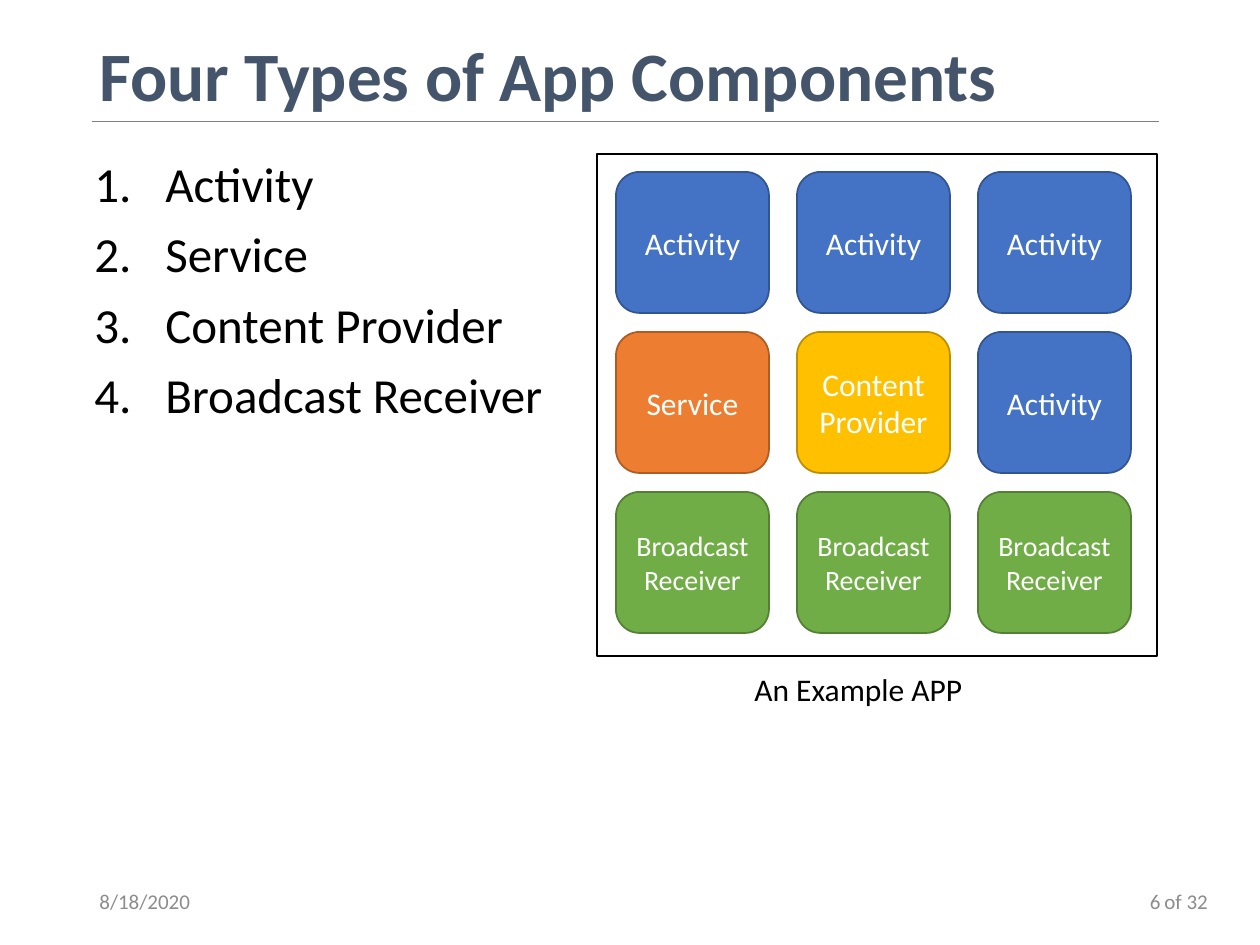
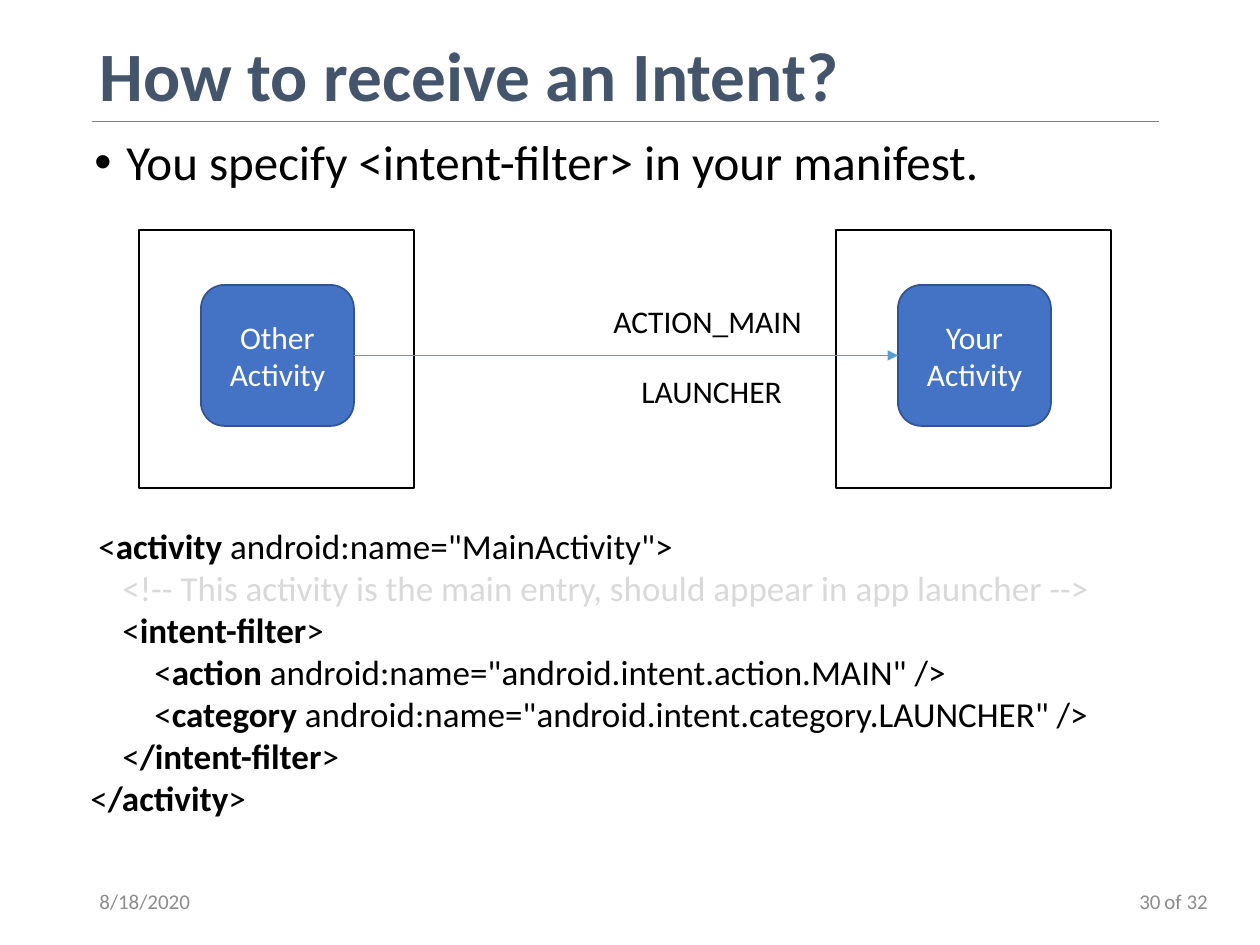
"""Build two lecture slides on app components and receiving an intent."""
from lxml import etree
from pptx import Presentation, util as u
from pptx.dml.color import RGBColor
from pptx.enum import shapes, text
from pptx.oxml.ns import qn

SCALE = u.Inches(1) / 126
FONT = "Calibri"
BLACK, WHITE, GREY, SLATE, PALE = "000000", "FFFFFF", "8C8C8C", "44546A", "D9D9D9"
RULE, ARROW = "808080", "5B9BD5"
DATE, TOTAL = "8/18/2020", "of 32"
BLUE = ("4472C4", "325491")
ORANGE = ("ED7D31", "AF5C24")
GOLD = ("FFC000", "BD8E00")
GREEN = ("70AD47", "538035")

COMPONENTS = ["Activity", "Service", "Content Provider", "Broadcast Receiver"]
ACTIVITY = (["Activity"], BLUE, 18)
SERVICE = (["Service"], ORANGE, 18)
PROVIDER = (["Content", "Provider"], GOLD, 18)
RECEIVER = (["Broadcast Receiver"], GREEN, 16)
APP_GRID = [
    [ACTIVITY, ACTIVITY, ACTIVITY],
    [SERVICE, PROVIDER, ACTIVITY],
    [RECEIVER, RECEIVER, RECEIVER],
]
TILE_SIZE = (153, 141)
GRID_LEFT, GRID_TOP, PITCH_X, PITCH_Y = 616, 172, 181, 160
APP_FRAME = (597, 154, 560, 502)

INTENT_APPS = [
    ((139, 230, 275, 258), (201, 285), ["Other", "Activity"]),
    ((836, 230, 275, 258), (898, 285), ["Your", "Activity"]),
]
INTENT_LABELS = [("ACTION_MAIN", (601, 296, 215, 50)), ("LAUNCHER", (629, 366, 168, 50))]
MANIFEST = [
    (8, [("<",), ("activity ", True), ('android:name="MainActivity">',)]),
    (32, [("<!-- This activity is the main entry, should appear in app launcher -->", False, PALE)]),
    (32, [("<",), ("intent-filter", True), (">",)]),
    (64, [("<",), ("action ", True), ('android:name="android.intent.action.MAIN" />',)]),
    (64, [("<",), ("category ", True), ('android:name="android.intent.category.LAUNCHER" />',)]),
    (32, [("<",), ("/intent-filter", True), (">",)]),
    (0, [("<",), ("/activity", True), (">",)]),
]


def px(length):
    return u.Emu(round(length * SCALE))


def rgb(colour):
    return RGBColor.from_string(colour)


def write(frame, paragraphs, size, colour=BLACK, bold=False, wrap=True, grow=False,
          anchor=text.MSO_ANCHOR.TOP, **paragraph_format):
    fit = text.MSO_AUTO_SIZE.SHAPE_TO_FIT_TEXT if grow else text.MSO_AUTO_SIZE.NONE
    for name, value in dict(word_wrap=wrap, auto_size=fit, vertical_anchor=anchor).items():
        setattr(frame, name, value)
    for index, runs in enumerate(paragraphs):
        paragraph = frame.paragraphs[0] if index == 0 else frame.add_paragraph()
        for name, value in paragraph_format.items():
            setattr(paragraph, name, value)
        for words, *style in [(runs,)] if isinstance(runs, str) else runs:
            run = paragraph.add_run()
            run.text = words
            look = dict(name=FONT, size=u.Pt(size), bold=style[0] if style else bold)
            for name, value in look.items():
                setattr(run.font, name, value)
            run.font.color.rgb = rgb(style[1] if len(style) > 1 else colour)
    return frame


def add_text(slide, box, paragraphs, size, **look):
    return write(slide.shapes.add_textbox(*map(px, box)).text_frame, paragraphs, size, **look)


def indent(paragraph, margin, hanging=0):
    properties = paragraph._p.get_or_add_pPr()
    properties.set("marL", str(px(margin)))
    properties.set("indent", str(-px(hanging)))
    return properties


def add_list(slide, box, items, margin, tag, **marker):
    frame = add_text(slide, box, items, 28, line_spacing=0.9, space_before=u.Pt(10))
    for paragraph in frame.paragraphs:
        properties = indent(paragraph, margin, margin)
        font = "Arial" if tag == "a:buChar" else FONT
        etree.SubElement(properties, qn("a:buFont"), typeface=font)
        etree.SubElement(properties, qn(tag), **marker)


def add_box(slide, kind, box, line, fill=None):
    box_shape = slide.shapes.add_shape(kind, *map(px, box))
    box_shape.shadow.inherit = False
    box_shape.line.color.rgb = rgb(line)
    box_shape.line.width = u.Pt(1)
    if fill:
        box_shape.fill.solid()
        box_shape.fill.fore_color.rgb = rgb(fill)
    else:
        box_shape.fill.background()
    return box_shape


def add_tile(slide, corner, words, colours, size):
    fill, edge = colours
    tile = add_box(slide, shapes.MSO_SHAPE.ROUNDED_RECTANGLE, (*corner, *TILE_SIZE), edge, fill)
    write(tile.text_frame, words, size, colour=WHITE, anchor=text.MSO_ANCHOR.MIDDLE,
          alignment=text.PP_ALIGN.CENTER)


def add_line(slide, ends, colour, arrow=False):
    line = slide.shapes.add_connector(shapes.MSO_CONNECTOR.STRAIGHT, *map(px, ends))
    line.line.color.rgb = rgb(colour)
    line.line.width = u.Pt(0.5)
    if arrow:
        etree.SubElement(line.line._get_or_add_ln(), qn("a:tailEnd"), type="triangle")
    etree.SubElement(line._element.spPr, qn("a:effectLst"))


def add_page(deck, title, number):
    slide = deck.slides.add_slide(deck.slide_layouts[6])
    middle = text.MSO_ANCHOR.MIDDLE
    add_text(slide, (87, 50, 1086, 59), [title], 39.6, colour=SLATE, bold=True,
             anchor=middle, line_spacing=0.9)
    add_line(slide, (92, 121, 1159, 121), RULE)
    add_text(slide, (87, 876, 284, 50), [DATE], 12, colour=GREY, anchor=middle)
    add_text(slide, (890, 876, 283, 50), [number], 12, colour=GREY, anchor=middle,
             alignment=text.PP_ALIGN.RIGHT)
    add_text(slide, (1152, 882, 69, 38), [TOTAL], 12, colour=GREY, wrap=False, grow=True)
    return slide


def build_components(deck):
    slide = add_page(deck, "Four Types of App Components", "6")
    add_list(slide, (82, 154, 1086, 716), COMPONENTS, 71, "a:buAutoNum", type="arabicPeriod")
    add_box(slide, shapes.MSO_SHAPE.RECTANGLE, APP_FRAME, BLACK)
    for row, tiles in enumerate(APP_GRID):
        for column, tile in enumerate(tiles):
            add_tile(slide, (GRID_LEFT + column * PITCH_X, GRID_TOP + row * PITCH_Y), *tile)
    add_text(slide, (742, 664, 236, 50), ["An Example APP"], 18, wrap=False, grow=True)


def build_intent(deck):
    slide = add_page(deck, "How to receive an Intent?", "30")
    add_list(slide, (82, 132, 1074, 716), ["You specify <intent-filter> in your manifest."],
             32, "a:buChar", char="•")
    for frame, corner, words in INTENT_APPS:
        add_tile(slide, corner, words, BLUE, 18)
        add_box(slide, shapes.MSO_SHAPE.RECTANGLE, frame, BLACK)
    (sender_x, sender_y), (receiver_x, _) = (corner for _, corner, _ in INTENT_APPS)
    middle = sender_y + TILE_SIZE[1] / 2
    add_line(slide, (sender_x + TILE_SIZE[0], middle, receiver_x, middle), ARROW, arrow=True)
    for label, box in INTENT_LABELS:
        add_text(slide, box, [label], 18, wrap=False, grow=True)
    manifest = add_text(slide, (78, 518, 1060, 310), [runs for _, runs in MANIFEST], 20, grow=True)
    for paragraph, (margin, _) in zip(manifest.paragraphs, MANIFEST):
        indent(paragraph, margin)


deck = Presentation()
deck.slide_width, deck.slide_height = u.Inches(10), u.Inches(7.5)
build_components(deck)
build_intent(deck)
deck.save("out.pptx")
